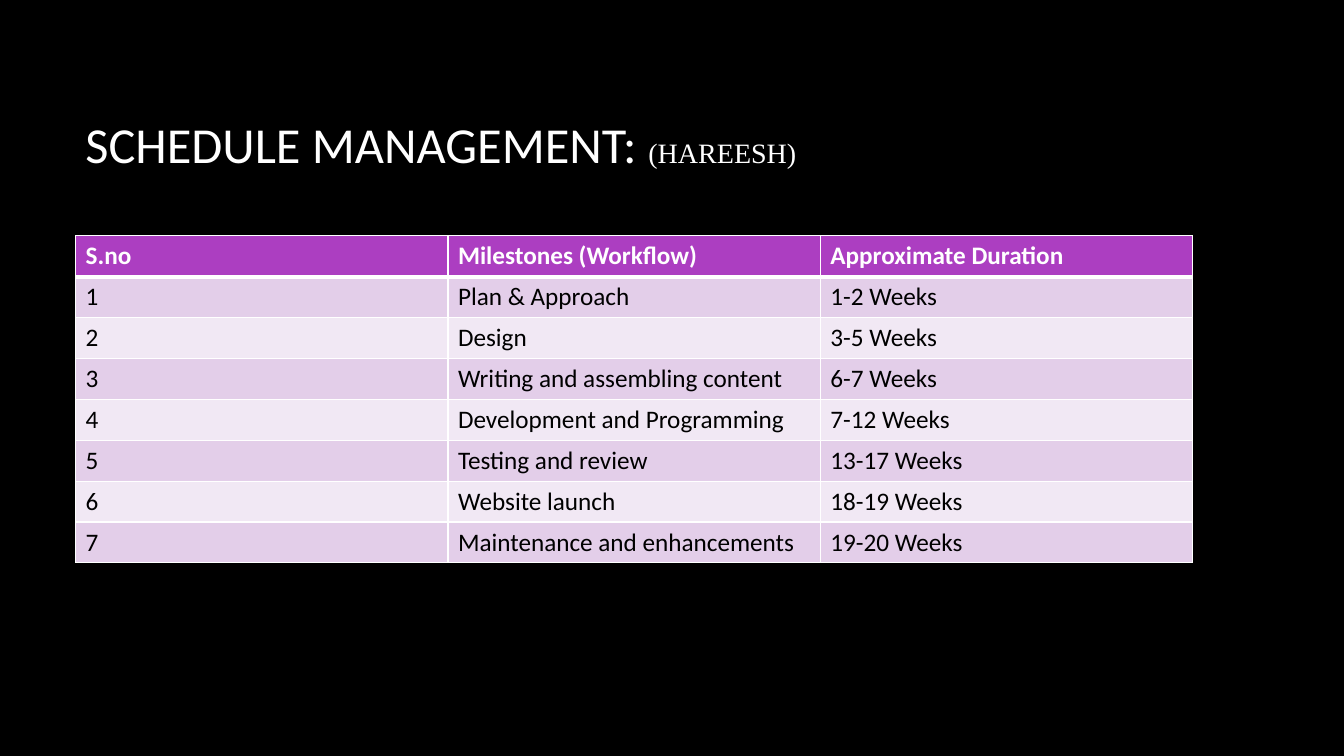
from lxml import etree
from pptx import Presentation
from pptx.dml.color import RGBColor
from pptx.enum.text import MSO_ANCHOR
from pptx.oxml.ns import qn
from pptx.util import Pt

MIDDLE = MSO_ANCHOR.MIDDLE
COLORS = {
    "background": "000000",
    "title": "FFFFFF",
    "header": "AC3EC1",
    "header_text": "FFFFFF",
    "odd_row": "E3CEE9",
    "even_row": "F1E8F4",
    "body_text": "000000",
    "border": "FFFFFF",
}
SCHEDULE = [
    ("S.no", "Milestones (Workflow)", "Approximate Duration"),
    ("1", "Plan & Approach", "1-2 Weeks"),
    ("2", "Design", "3-5 Weeks"),
    ("3", "Writing and assembling content", "6-7 Weeks"),
    ("4", "Development and Programming", "7-12 Weeks"),
    ("5", "Testing and review", "13-17 Weeks"),
    ("6", "Website launch", "18-19 Weeks"),
    ("7", "Maintenance and enhancements", "19-20 Weeks"),
]


def color(name):
    return RGBColor.from_string(COLORS[name])


def add_text(paragraph, text, *, size=18, fill="body_text", font="Calibri", bold=False):
    run = paragraph.add_run()
    run.text = text
    run.font.size = Pt(size)
    run.font.name = font
    run.font.bold = bold
    run.font.color.rgb = color(fill)


def set_borders(cell, top=1, bottom=1):
    properties = cell._tc.get_or_add_tcPr()
    for side, width in (("L", 1), ("R", 1), ("T", top), ("B", bottom)):
        line = etree.SubElement(properties, qn(f"a:ln{side}"), w=str(Pt(width)))
        solid = etree.SubElement(line, qn("a:solidFill"))
        etree.SubElement(solid, qn("a:srgbClr"), val=COLORS["border"])


def add_title(slide, left, top, width, height):
    frame = slide.shapes.add_textbox(Pt(left), Pt(top), Pt(width), Pt(height)).text_frame
    frame.word_wrap = True
    frame.vertical_anchor = MIDDLE
    heading = frame.paragraphs[0]
    heading.line_spacing = 0.9
    add_text(heading, "SCHEDULE MANAGEMENT: ", size=36, fill="title")
    add_text(heading, "(HAREESH)", size=20, fill="title", font="Times New Roman")


def add_schedule(slide, left, top, width, height):
    schedule = slide.shapes.add_table(
        len(SCHEDULE), len(SCHEDULE[0]), Pt(left), Pt(top), Pt(width), Pt(height)
    ).table
    for column in schedule.columns:
        column.width = Pt(width / len(SCHEDULE[0]))
    for index, entries in enumerate(SCHEDULE):
        schedule.rows[index].height = Pt(height / len(SCHEDULE))
        is_header = index == 0
        row_fill = "header" if is_header else "odd_row" if index % 2 else "even_row"
        for cell, entry in zip(schedule.rows[index].cells, entries):
            # Heavy rule between the header and the first milestone
            set_borders(cell, top=3 if index == 1 else 1, bottom=3 if is_header else 1)
            cell.fill.solid()
            cell.fill.fore_color.rgb = color(row_fill)
            add_text(
                cell.text_frame.paragraphs[0], entry, bold=is_header,
                fill="header_text" if is_header else "body_text",
            )


def main():
    deck = Presentation()
    deck.slide_width, deck.slide_height = Pt(960), Pt(540)
    slide = deck.slides.add_slide(deck.slide_layouts[6])
    slide.background.fill.solid()
    slide.background.fill.fore_color.rgb = color("background")

    # Title above, milestone table below, on the same left edge
    left, width = 54, 798
    add_title(slide, left, 48, width, 114.5)
    add_schedule(slide, left, 168.5, width, 233.6)
    deck.save("out.pptx")


if __name__ == "__main__":
    main()
